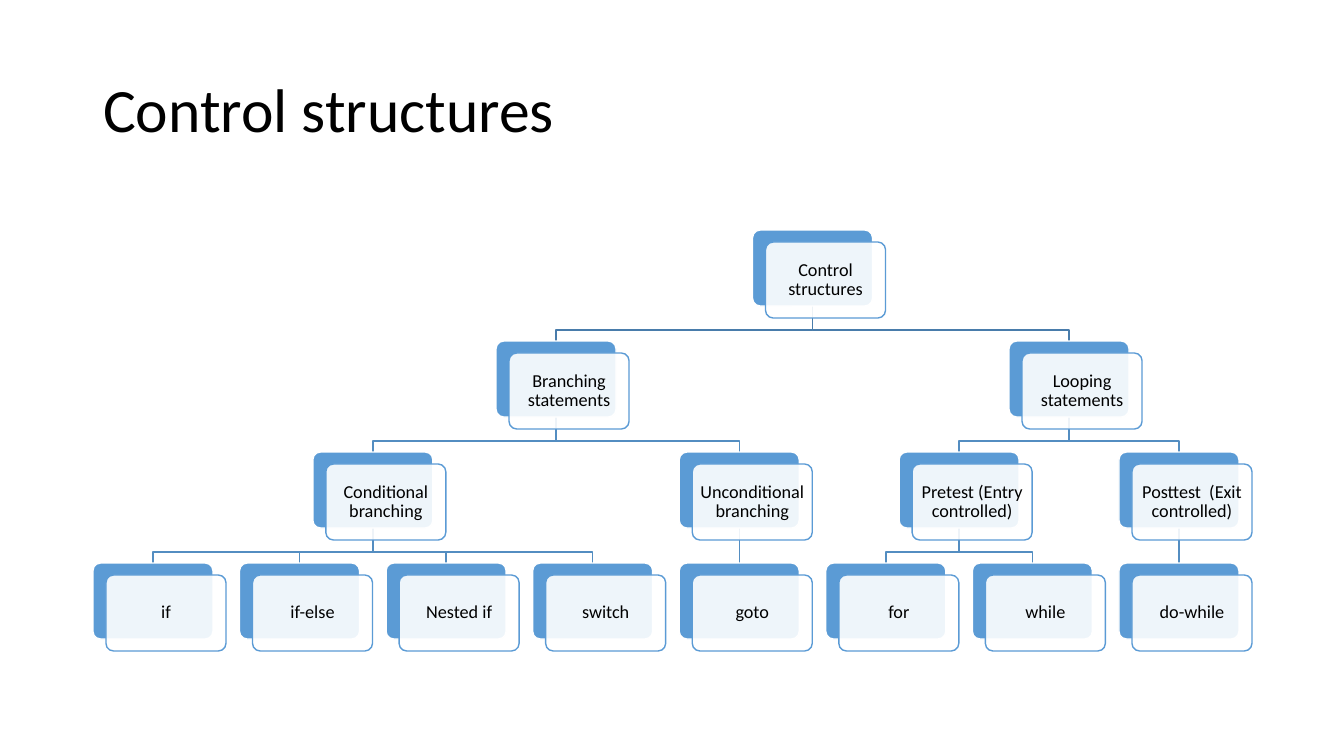
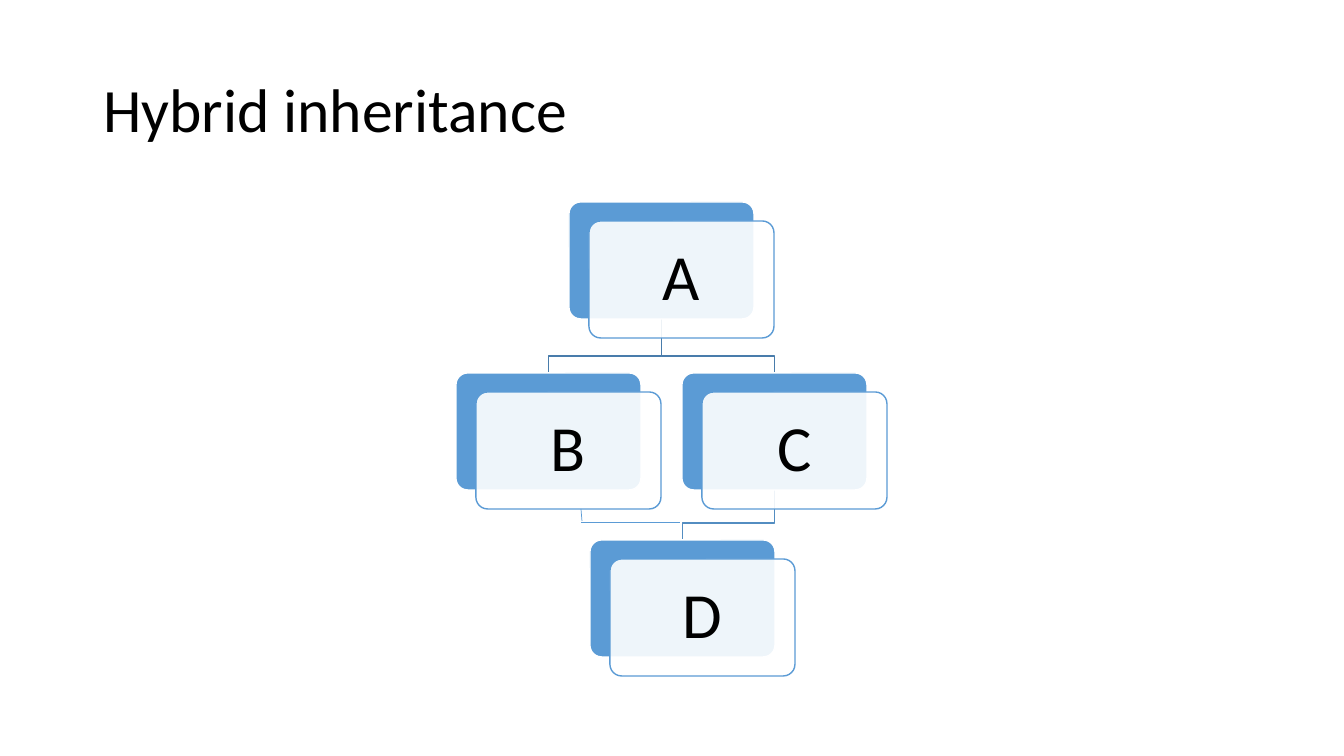
"""Build two slides with hierarchy diagrams of layered cards."""
from collections import namedtuple
from itertools import count

from lxml import etree
from pptx import Presentation
from pptx import util as u
from pptx.dml.color import RGBColor
from pptx.enum import shapes, text
from pptx.oxml.ns import qn

SCALE = 12192000 / 1344
FONT = "Calibri"
BLACK, WHITE, BLUE = "000000", "FFFFFF", "5B9BD5"
TOP_EDGE, LOWER_EDGE = "497CAB", "538DC1"

Style = namedtuple("Style", "w h dx dy inset size drop")
SMALL = Style(w=120, h=76, dx=13, dy=12, inset=5, size=13, drop=11)
LARGE = Style(w=185, h=117, dx=20, dy=19, inset=19, size=46, drop=17)

CONTROL_TREE = ("Control structures", [
    ("Branching statements", [
        ("Conditional branching", [
            ("if", []), ("if-else", []), ("Nested if", []), ("switch", [])]),
        ("Unconditional branching", [("goto", [])])]),
    ("Looping statements", [
        ("Pretest (Entry controlled)", [("for", []), ("while", [])]),
        ("Posttest  (Exit controlled)", [("do-while", [])])])])


def px(n):
    """Turn picture pixels into EMU."""
    return u.Emu(round(n * SCALE))


def rgb(value):
    """Turn a hex string into a colour."""
    return RGBColor.from_string(value)


def set_line(sp, color, width=1):
    """Set the outline colour and its width in points."""
    sp.line.color.rgb = rgb(color)
    sp.line.width = u.Pt(width)


def add_run(p, label, size):
    """Add one run in the shared font."""
    p.line_spacing = 0.9
    r = p.add_run()
    r.text = label
    r.font.name = FONT
    r.font.size = u.Pt(size)
    r.font.color.rgb = rgb(BLACK)


def add_title_slide(prs, title):
    """Add a slide with the shared title style."""
    s = prs.slides.add_slide(prs.slide_layouts[5])
    sp = s.shapes.title
    sp.left, sp.top, sp.width, sp.height = px(93), px(40), px(1159), px(146)
    tf = sp.text_frame
    tf.word_wrap = True
    tf.auto_size = text.MSO_AUTO_SIZE.NONE
    tf.vertical_anchor = text.MSO_ANCHOR.MIDDLE
    p = tf.paragraphs[0]
    p.alignment = text.PP_ALIGN.LEFT
    add_run(p, title, 44)
    return s


def add_round_rect(s, x, y, style, fill, line):
    """Add one rounded rectangle of the card size."""
    sp = s.shapes.add_shape(shapes.MSO_SHAPE.ROUNDED_RECTANGLE,
                            px(x), px(y), px(style.w), px(style.h))
    sp.adjustments[0] = 0.1
    sp.shadow.inherit = False
    sp.fill.solid()
    sp.fill.fore_color.rgb = rgb(fill)
    set_line(sp, line)
    return sp


def add_card(s, x, y, label, style):
    """Add a blue card with a translucent labelled card over it."""
    add_round_rect(s, x, y, style, BLUE, WHITE)
    sp = add_round_rect(s, x + style.dx, y + style.dy, style, WHITE, BLUE)
    color = sp.fill._xPr.find(qn("a:solidFill")).find(qn("a:srgbClr"))
    etree.SubElement(color, qn("a:alpha")).set("val", "90000")
    tf = sp.text_frame
    tf.word_wrap = True
    tf.vertical_anchor = text.MSO_ANCHOR.MIDDLE
    tf.margin_left = tf.margin_right = px(style.inset)
    tf.margin_top = tf.margin_bottom = px(style.inset)
    p = tf.paragraphs[0]
    p.alignment = text.PP_ALIGN.CENTER
    add_run(p, label, style.size)


def add_line(s, x1, y1, x2, y2, color, width):
    """Add a straight line."""
    sp = s.shapes.add_connector(shapes.MSO_CONNECTOR.STRAIGHT,
                                px(x1), px(y1), px(x2), px(y2))
    set_line(sp, color, width)
    etree.SubElement(sp._element.spPr, qn("a:effectLst"))


def add_edge(s, parent, child, style, color):
    """Join a parent's bottom centre to a child's top centre."""
    x1, y1 = parent[0] + style.w / 2, parent[1] + style.h
    x2, y2 = child[0] + style.w / 2, child[1]
    if x1 == x2:
        add_line(s, x1, y1, x2, y2, color, 1)
        return
    bend = y2 - style.drop
    builder = s.shapes.build_freeform(px(x1), px(y1))
    builder.add_line_segments(
        [(px(x1), px(bend)), (px(x2), px(bend)), (px(x2), px(y2))], close=False)
    sp = builder.convert_to_shape()
    sp.fill.background()
    sp.shadow.inherit = False
    set_line(sp, color)


def place_tree(node, columns, cards, edges, level=0):
    """Place leaves in columns and centre each parent over its children."""
    label, children = node
    placed = [place_tree(child, columns, cards, edges, level + 1)
              for child in children]
    if placed:
        x = (placed[0][0] + placed[-1][0]) / 2
    else:
        x = 93 + 1026 * next(columns) / 7
    spot = (x, 230 + 111 * level)
    cards.append((*spot, label))
    color = LOWER_EDGE if level else TOP_EDGE
    edges.extend((spot, child, color) for child in placed)
    return spot


def draw_diagram(s, cards, edges, style):
    """Draw the edges, then the cards over them."""
    for parent, child, color in edges:
        add_edge(s, parent, child, style, color)
    for x, y, label in cards:
        add_card(s, x, y, label, style)


def control_slide(prs):
    """Build the tree of control structures."""
    s = add_title_slide(prs, "Control structures")
    cards, edges = [], []
    place_tree(CONTROL_TREE, count(), cards, edges)
    draw_diagram(s, cards, edges, SMALL)


def inheritance_slide(prs):
    """Build the diamond of hybrid inheritance."""
    s = add_title_slide(prs, "Hybrid inheritance")
    spots = {"A": (569, 202), "B": (456, 373), "C": (682, 373), "D": (590, 540)}
    cards = [(x, y, label) for label, (x, y) in spots.items()]
    edges = [(spots["C"], spots["D"], LOWER_EDGE),
             (spots["A"], spots["C"], TOP_EDGE),
             (spots["A"], spots["B"], TOP_EDGE)]
    draw_diagram(s, cards, edges, LARGE)
    add_line(s, 680, 522, 581, 522, BLUE, 0.5)
    add_line(s, 582, 521, 581, 509, BLUE, 0.5)


def main():
    """Build and save the presentation."""
    prs = Presentation()
    prs.slide_width, prs.slide_height = px(1344), px(756)
    control_slide(prs)
    inheritance_slide(prs)
    prs.save("out.pptx")


main()
